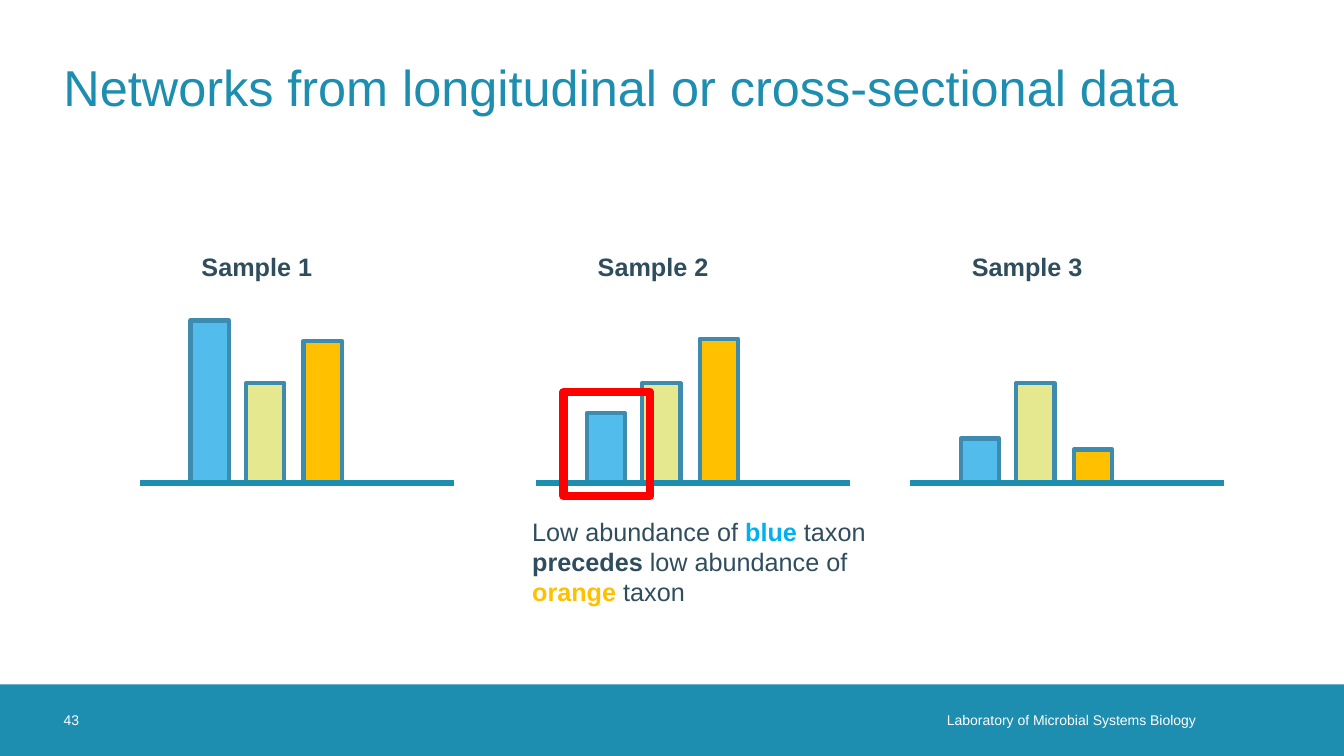
"""Build the slide comparing taxon abundances across three samples."""
from dataclasses import dataclass

from pptx import Presentation
from pptx import util as u
from pptx.enum import shapes, text
from pptx.oxml import ns, xmlchemy

PX = 9144
FONT = "Arial"
COLORS = {
    "teal": "1D8DB0", "white": "FFFFFF", "dark": "2F4D5D", "outline": "3D8CAF",
    "blue_bar": "52BDEC", "green_bar": "E5E88E", "orange": "FFC000",
    "blue_text": "00B0F0", "red": "FF0000",
}
BASELINE = 479
AXIS_WIDTH = 311
BAR_WIDTH = 38
BAR_OFFSETS = (50, 105, 162)
BAR_COLORS = ("blue_bar", "green_bar", "orange")


@dataclass(frozen=True)
class Box:
    left: int
    top: int
    width: int
    height: int

    def emu(self) -> tuple[int, ...]:
        return tuple(v * PX for v in (self.left, self.top, self.width, self.height))


@dataclass(frozen=True)
class Run:
    words: str
    size: int
    color: str
    bold: bool = False


@dataclass(frozen=True)
class Sample:
    name: str
    left: int
    heights: tuple[int, int, int]


SAMPLES = (
    Sample("Sample 1", 139, (161, 99, 141)),
    Sample("Sample 2", 532, (69, 99, 143)),
    Sample("Sample 3", 903, (44, 99, 33)),
)
CAPTION = (
    (Run("Low abundance of ", 18, "dark"), Run("blue ", 18, "blue_text", True),
     Run("taxon", 18, "dark")),
    (Run("precedes", 18, "dark", True), Run(" low abundance of ", 18, "dark"),
     Run("orange ", 18, "orange", True), Run("taxon", 18, "dark")),
)


def rgb(name: str):
    return RGBColor.from_string(COLORS[name])


def add_rect(s, box: Box, fill: str = "", line: str = "", weight: float = 0) -> None:
    sp = s.shapes.add_shape(shapes.MSO_SHAPE.RECTANGLE, *box.emu())
    sp.shadow.inherit = False
    if fill:
        sp.fill.solid()
        sp.fill.fore_color.rgb = rgb(fill)
    else:
        sp.fill.background()
    if line:
        sp.line.color.rgb = rgb(line)
        sp.line.width = u.Pt(weight)
    else:
        sp.line.fill.background()


def add_text(s, box: Box, paragraphs, insets=(0, 0, 0, 0),
             anchor=text.MSO_ANCHOR.MIDDLE, align=text.PP_ALIGN.LEFT) -> None:
    tf = s.shapes.add_textbox(*box.emu()).text_frame
    tf.word_wrap = True
    tf.vertical_anchor = anchor
    tf.margin_left, tf.margin_top, tf.margin_right, tf.margin_bottom = (
        v * PX for v in insets)
    for i, runs in enumerate(paragraphs):
        p = tf.add_paragraph() if i else tf.paragraphs[0]
        p.alignment = align
        for run in runs:
            r = p.add_run()
            r.text = run.words
            r.font.name = FONT
            r.font.size = u.Pt(run.size)
            r.font.bold = run.bold
            r.font.color.rgb = rgb(run.color)


def add_body(s, box: Box, paragraphs) -> None:
    add_text(s, box, paragraphs, (10, 5, 10, 5), text.MSO_ANCHOR.TOP)


def add_axis(s, left: int) -> None:
    sp = s.shapes.add_connector(
        shapes.MSO_CONNECTOR.STRAIGHT, left * PX, BASELINE * PX,
        (left + AXIS_WIDTH) * PX, BASELINE * PX)
    sp.line.color.rgb = rgb("teal")
    sp.line.width = u.Pt(4.5)
    sp._element.spPr.append(xmlchemy.OxmlElement("a:effectLst"))


def add_sample(s, sample: Sample) -> None:
    for offset, height, color in zip(BAR_OFFSETS, sample.heights, BAR_COLORS):
        bar = Box(sample.left + offset, BASELINE - height, BAR_WIDTH, height)
        add_rect(s, bar, color, "outline", 3)
    add_axis(s, sample.left)
    add_body(s, Box(sample.left + 51, 244, 209, 40),
             [[Run(sample.name, 18, "dark", True)]])


def main() -> None:
    prs = Presentation()
    prs.slide_width, prs.slide_height = 1333 * PX, 750 * PX
    s = prs.slides.add_slide(prs.slide_layouts[6])
    add_rect(s, Box(0, 679, 1333, 71), "teal")
    add_text(s, Box(660, 679, 546, 71),
             [[Run("Laboratory of Microbial Systems Biology", 10, "white")]],
             insets=(0, 0, 20, 0), align=text.PP_ALIGN.RIGHT)
    add_text(s, Box(63, 679, 71, 71), [[Run("43", 10, "white")]])
    add_text(s, Box(63, 23, 1207, 126), [[Run(
        "Networks from longitudinal or cross-sectional data", 36, "teal")]])
    for sample in SAMPLES:
        add_sample(s, sample)
    add_rect(s, Box(559, 389, 86, 103), line="red", weight=6)
    add_body(s, Box(518, 507, 390, 101), CAPTION)
    prs.save("out.pptx")


from pptx.dml.color import RGBColor

if __name__ == "__main__":
    main()
